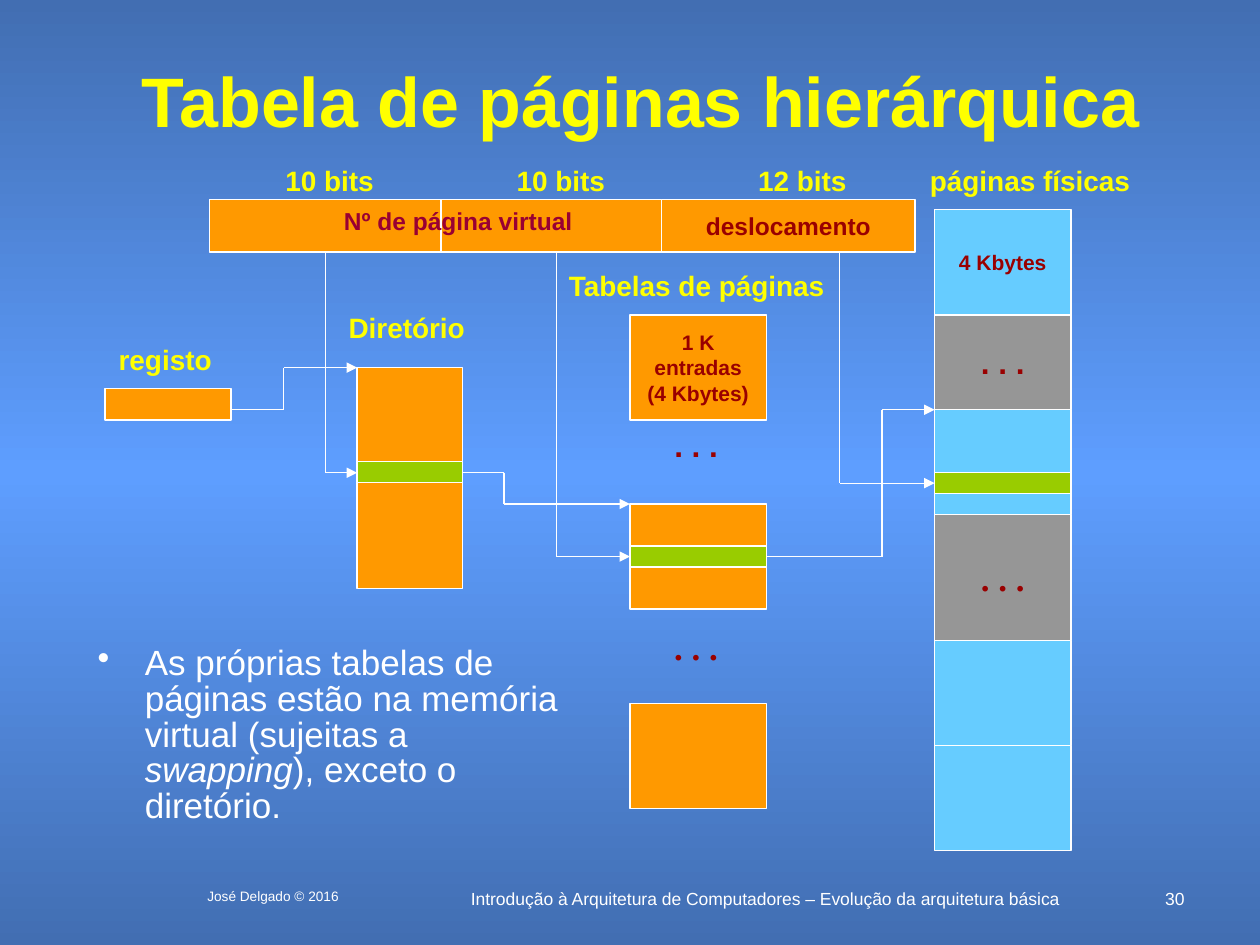
from copy import deepcopy
from dataclasses import dataclass
from itertools import pairwise

from lxml.etree import SubElement
from pptx import Presentation
from pptx.dml.color import RGBColor
from pptx.enum.shapes import MSO_CONNECTOR as Connector, MSO_SHAPE as Shape
from pptx.enum.text import MSO_ANCHOR as Anchor, PP_ALIGN as Align
from pptx.oxml.ns import qn
from pptx.util import Cm, Pt

WHITE, YELLOW, ORANGE, GREEN = "FFFFFF", "FFFF00", "FF9900", "99CC00"
BLUE, GRAY, RED, WINE = "66CCFF", "969696", "990000", "990033"
ARIAL, TIMES = "Arial", "Times New Roman"
ENTRY_HEIGHT, PAGE_HEIGHT, PAGE_WIDTH = 0.42, 2.12, 2.75
PAGES_LEFT, TABLES_LEFT, DIRECTORY_LEFT = 18.84, 12.7, 7.2
FIELDS_TOP, FIELDS_HEIGHT, DIRECTORY_WIDTH = 4.02, 1.06, 2.12


@dataclass
class Block:
    left: float
    top: float
    width: float
    height: float
    fill: str
    text: str = ""
    size: float = 12
    font: str = ARIAL


@dataclass
class Label:
    text: str
    left: float
    top: float
    width: float
    height: float = 0.93
    size: float = 16
    color: str = YELLOW
    font: str = ARIAL
    bold: bool = True
    align: Align = Align.CENTER
    wrap: bool = False


@dataclass
class Page:
    height: float
    fill: str
    text: str = ""
    size: float = 12
    font: str = ARIAL


PAGES = [
    Page(PAGE_HEIGHT, BLUE, "4 Kbytes"),
    Page(1.9, GRAY, ". . .", 18),
    Page(PAGE_HEIGHT, BLUE),
    Page(2.54, GRAY, ". . .", 20, TIMES),
    Page(PAGE_HEIGHT, BLUE),
    Page(PAGE_HEIGHT, BLUE),
]

BLOCKS = [
    Block(2.12, 7.83, 2.54, 0.64, ORANGE),
    Block(DIRECTORY_LEFT, 7.41, DIRECTORY_WIDTH, 4.45, ORANGE),
    Block(DIRECTORY_LEFT, 9.31, DIRECTORY_WIDTH, ENTRY_HEIGHT, GREEN),
    Block(TABLES_LEFT, 6.35, PAGE_WIDTH, PAGE_HEIGHT, ORANGE, "1 K\nentradas\n(4 Kbytes)"),
    Block(TABLES_LEFT, 10.16, PAGE_WIDTH, PAGE_HEIGHT, ORANGE),
    Block(TABLES_LEFT, 14.18, PAGE_WIDTH, PAGE_HEIGHT, ORANGE),
    Block(TABLES_LEFT, 11.01, PAGE_WIDTH, ENTRY_HEIGHT, GREEN),
    Block(PAGES_LEFT, 9.53, PAGE_WIDTH, ENTRY_HEIGHT, GREEN),
    Block(13.34, FIELDS_TOP, 5.11, FIELDS_HEIGHT, ORANGE, "deslocamento", 14),
    Block(8.89, FIELDS_TOP, 4.45, FIELDS_HEIGHT, ORANGE),
    Block(4.23, FIELDS_TOP, 4.66, FIELDS_HEIGHT, ORANGE),
]

ROUTES = [
    [(4.66, 8.26), (5.72, 8.26), (5.72, 7.41), (DIRECTORY_LEFT, 7.41)],
    [(6.56, 5.08), (6.56, 9.53), (DIRECTORY_LEFT, 9.53)],
    [(9.31, 9.53), (10.16, 9.53), (10.16, 10.16), (TABLES_LEFT, 10.16)],
    [(11.22, 5.08), (11.22, 11.22), (TABLES_LEFT, 11.22)],
    [(15.45, 11.22), (17.78, 11.22), (17.78, 8.26), (PAGES_LEFT, 8.26)],
    [(16.93, 5.08), (16.93, 9.74), (PAGES_LEFT, 9.74)],
]

LABELS = [
    Label("10 bits", 5.4, 3.18, 2.49),
    Label("10 bits", 10.06, 3.18, 2.49),
    Label("12 bits", 14.93, 3.18, 2.49),
    Label("páginas físicas", 18.39, 3.18, 4.75),
    Label("Tabelas de páginas", 11.1, 5.29, 5.89),
    Label("Diretório", 6.6, 6.14, 3.2),
    Label("registo", 2.03, 6.78, 2.6),
    Label("Nº de página virtual", 6.56, FIELDS_TOP, 5.36, 0.86, 14, WINE, wrap=True),
    Label(". . .", 13.26, 8.47, 1.55, 1.02, 18, RED),
    Label(". . .", 13.26, 12.49, 1.55, 1.12, 20, RED, TIMES),
    Label("José Delgado © 2016", 3.39, 17.78, 4.23, 0.64, 7.8, WHITE, bold=False, wrap=True),
    Label("Introdução à Arquitetura de Computadores – Evolução da arquitetura básica",
          8.47, 17.78, 13.9, 0.64, 10, WHITE, bold=False, wrap=True),
    Label("30", 23.07, 17.78, 1.06, 0.42, 10, WHITE, bold=False, align=Align.RIGHT, wrap=True),
]


def rgb(value: str) -> RGBColor:
    """Turn a hex string into a colour."""
    return RGBColor.from_string(value)


def format_text(text_frame, size: float, color: str, font: str = ARIAL,
                bold: bool = True, align: Align = Align.CENTER) -> None:
    """Format every run of a text frame."""
    for paragraph in text_frame.paragraphs:
        paragraph.alignment = align
        for run in paragraph.runs:
            run.font.size, run.font.name, run.font.bold = Pt(size), font, bold
            run.font.color.rgb = rgb(color)


def draw_block(slide, block: Block) -> None:
    """Draw an outlined rectangle with optional centred text."""
    shape = slide.shapes.add_shape(Shape.RECTANGLE, Cm(block.left), Cm(block.top),
                                   Cm(block.width), Cm(block.height))
    shape.shadow.inherit = False
    shape.fill.solid()
    shape.fill.fore_color.rgb = rgb(block.fill)
    shape.line.color.rgb = rgb(WHITE)
    shape.line.width = Pt(0.75)
    if block.text:
        shape.text_frame.text = block.text
        shape.text_frame.word_wrap = False
        shape.text_frame.vertical_anchor = Anchor.MIDDLE
        format_text(shape.text_frame, block.size, RED, block.font)


def draw_pages(slide, top: float) -> None:
    """Stack the physical pages downwards."""
    for page in PAGES:
        draw_block(slide, Block(PAGES_LEFT, top, PAGE_WIDTH, page.height, page.fill,
                                page.text, page.size, page.font))
        top += page.height


def draw_route(slide, points: list[tuple[float, float]]) -> None:
    """Draw straight segments through the points, ending in an arrowhead."""
    for start, end in pairwise(points):
        connector = slide.shapes.add_connector(
            Connector.STRAIGHT, *(Cm(length) for length in start + end))
        connector.line.color.rgb = rgb(WHITE)
        connector.line.width = Pt(0.75)
        properties = connector.element.spPr
        if end == points[-1]:
            SubElement(properties.find(qn("a:ln")), qn("a:tailEnd"), type="triangle")
        SubElement(properties, qn("a:effectLst"))


def draw_label(slide, label: Label) -> None:
    """Draw a line of text."""
    box = slide.shapes.add_textbox(Cm(label.left), Cm(label.top),
                                   Cm(label.width), Cm(label.height))
    box.text_frame.text = label.text
    box.text_frame.word_wrap = label.wrap
    format_text(box.text_frame, label.size, label.color, label.font, label.bold, label.align)


def draw_note(slide) -> None:
    """Draw the bulleted remark."""
    text_frame = slide.shapes.add_textbox(Cm(1.72), Cm(12.92), Cm(10.08), Cm(4.11)).text_frame
    text_frame.word_wrap = True
    paragraph = text_frame.paragraphs[0]
    paragraph.line_spacing = 0.85
    properties = paragraph._p.get_or_add_pPr()
    properties.set("marL", str(Cm(0.95)))
    properties.set("indent", str(-Cm(0.95)))
    SubElement(SubElement(properties, qn("a:buClr")), qn("a:srgbClr"), val=WHITE)
    SubElement(properties, qn("a:buChar"), char="•")
    for text in ("As próprias tabelas de páginas estão na memória virtual (sujeitas a ",
                 "swapping", "), exceto o diretório."):
        run = paragraph.add_run()
        run.text = text
        run.font.italic = text == "swapping"
    format_text(text_frame, 20, WHITE, bold=False, align=Align.LEFT)


def paint_background(slide) -> None:
    """Fill the background with a vertical three-stop gradient."""
    fill = slide.background.fill
    fill.gradient()
    fill.gradient_angle = 90
    first = slide.element.find(".//" + qn("a:gs"))
    first.addnext(deepcopy(first))
    for stop, position, color in zip(fill.gradient_stops, (0, 0.5, 1),
                                     ("426EB2", "5E9EFF", "426EB2")):
        stop.position = position
        stop.color.rgb = rgb(color)


def main() -> None:
    """Build and save the slide."""
    presentation = Presentation()
    presentation.slide_width, presentation.slide_height = Cm(25.4), Cm(19.05)
    slide = presentation.slides.add_slide(presentation.slide_layouts[5])
    paint_background(slide)
    title = slide.shapes.title
    title.left, title.top, title.width, title.height = Cm(1.91), Cm(1.06), Cm(22.01), Cm(1.9)
    title.text_frame.text = "Tabela de páginas hierárquica"
    title.text_frame.vertical_anchor = Anchor.MIDDLE
    format_text(title.text_frame, 40, YELLOW)
    draw_pages(slide, 4.23)
    for block in BLOCKS:
        draw_block(slide, block)
    for route in ROUTES:
        draw_route(slide, route)
    for label in LABELS:
        draw_label(slide, label)
    draw_note(slide)
    presentation.save("out.pptx")


if __name__ == "__main__":
    main()
